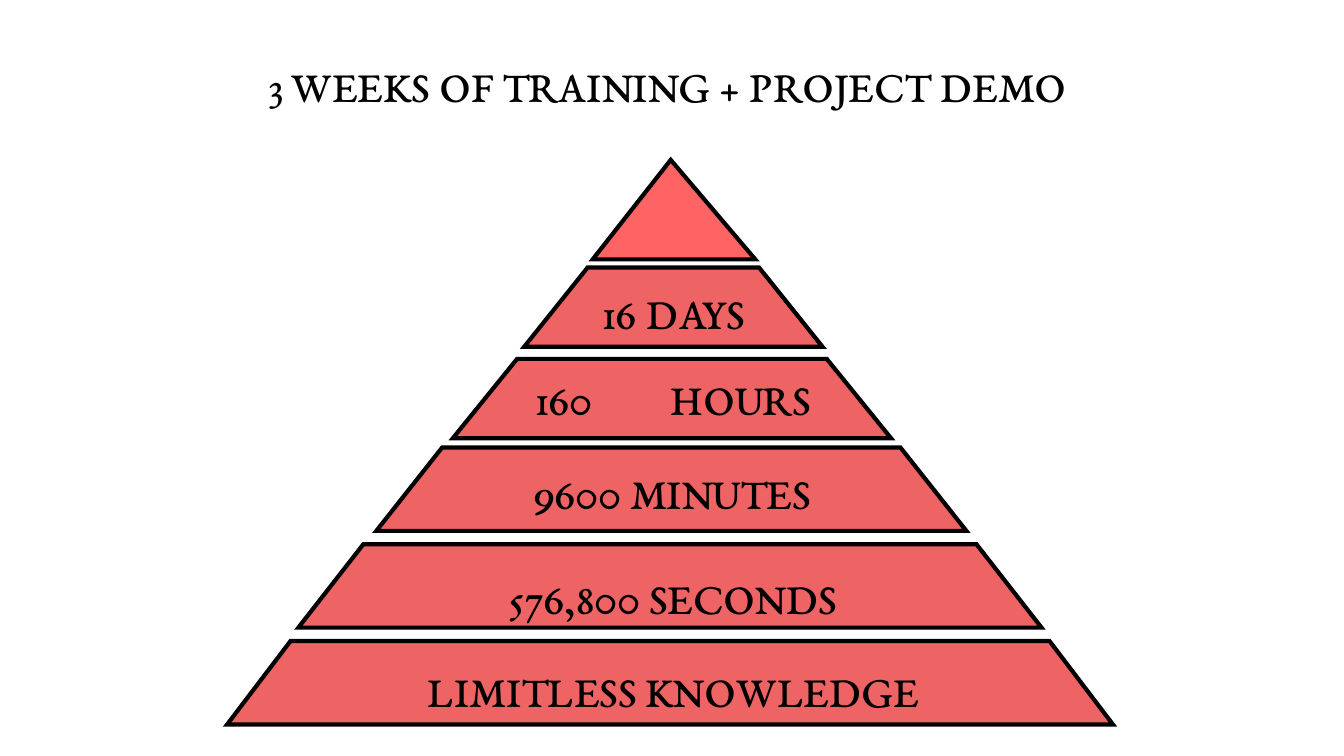
from lxml.etree import SubElement
from pptx import Presentation
from pptx.dml.color import RGBColor
from pptx.enum.shapes import MSO_SHAPE as Shape
from pptx.enum.text import MSO_ANCHOR as Anchor, PP_ALIGN as Align
from pptx.oxml.ns import qn
from pptx.util import Inches, Pt

BLACK = RGBColor(0x00, 0x00, 0x00)
TIER_RED = RGBColor(0xEE, 0x64, 0x64)
PEAK_RED = RGBColor(0xFF, 0x64, 0x64)
FONT = "EB Garamond"

BASE_TIER = (1.69, 4.77, 6.59, 0.62, 0.76)
UPPER_TIERS = [
    (2.22, 4.05, 5.53, 0.62, 0.78),
    (2.8, 3.33, 4.39, 0.62, 0.79),
    (3.37, 2.67, 3.26, 0.59, 0.81),
    (3.9, 1.99, 2.22, 0.59, 0.8),
]
SMALL_LABELS = [
    ("16 DAYS", 4.11, 2.08, 1.81),
    ("160\tHOURS", 3.9, 2.72, 2.22),
    ("9600 MINUTES", 3.37, 3.42, 3.26),
]


def add_tier(slide, kind, left, top, width, height, slope, color):
    shape = slide.shapes.add_shape(
        kind, Inches(left), Inches(top), Inches(width), Inches(height))
    shape.adjustments[0] = slope
    shape.shadow.inherit = False
    shape.fill.solid()
    shape.fill.fore_color.rgb = color
    shape.line.color.rgb = BLACK
    shape.line.width = Pt(2.25)
    outline = shape.line._get_or_add_ln()
    SubElement(outline, qn("a:miter"), lim="800000")


def add_tab_stop(paragraph, position):
    properties = paragraph._p.get_or_add_pPr()
    stops = SubElement(properties, qn("a:tabLst"))
    SubElement(stops, qn("a:tab"), pos=str(position), algn="l")


def add_label(slide, text, left, top, width, height, insets=(0, 0, 0, 0),
              anchor=Anchor.MIDDLE, spacing=1.1):
    box = slide.shapes.add_textbox(
        Inches(left), Inches(top), Inches(width), Inches(height))
    frame = box.text_frame
    frame.word_wrap = True
    frame.vertical_anchor = anchor
    (frame.margin_left, frame.margin_top,
     frame.margin_right, frame.margin_bottom) = map(Inches, insets)
    paragraph = frame.paragraphs[0]
    paragraph.text = text
    paragraph.alignment = Align.CENTER
    paragraph.line_spacing = spacing
    if "\t" in text:
        add_tab_stop(paragraph, Inches(1))
    paragraph.font.name = FONT
    paragraph.font.size = Pt(24)
    paragraph.font.color.rgb = BLACK


def add_wide_label(slide, text, top):
    add_label(slide, text, 1.34, top, 7.34, 1.04)


def main():
    presentation = Presentation()
    presentation.slide_width = Inches(10)
    presentation.slide_height = Inches(10) * 9 // 16
    slide = presentation.slides.add_slide(presentation.slide_layouts[6])

    add_label(slide, "3 WEEKS OF TRAINING + PROJECT DEMO", 0, 0.18, 10, 1.26,
              insets=(0, 0, 0.07, 0.4))
    for tier in UPPER_TIERS:
        add_tier(slide, Shape.TRAPEZOID, *tier, TIER_RED)
    add_wide_label(slide, "576,800 SECONDS", 3.9)
    for text, left, top, width in SMALL_LABELS:
        add_label(slide, text, left, top, width, 0.48,
                  insets=(0.07, 0.04, 0.07, 0.04), anchor=Anchor.TOP,
                  spacing=1.0)
    add_tier(slide, Shape.TRAPEZOID, *BASE_TIER, TIER_RED)
    add_tier(slide, Shape.ISOSCELES_TRIANGLE, 4.41, 1.19, 1.21, 0.74, 0.48,
             PEAK_RED)
    add_wide_label(slide, "LIMITLESS KNOWLEDGE", 4.59)

    presentation.save("out.pptx")


if __name__ == "__main__":
    main()
